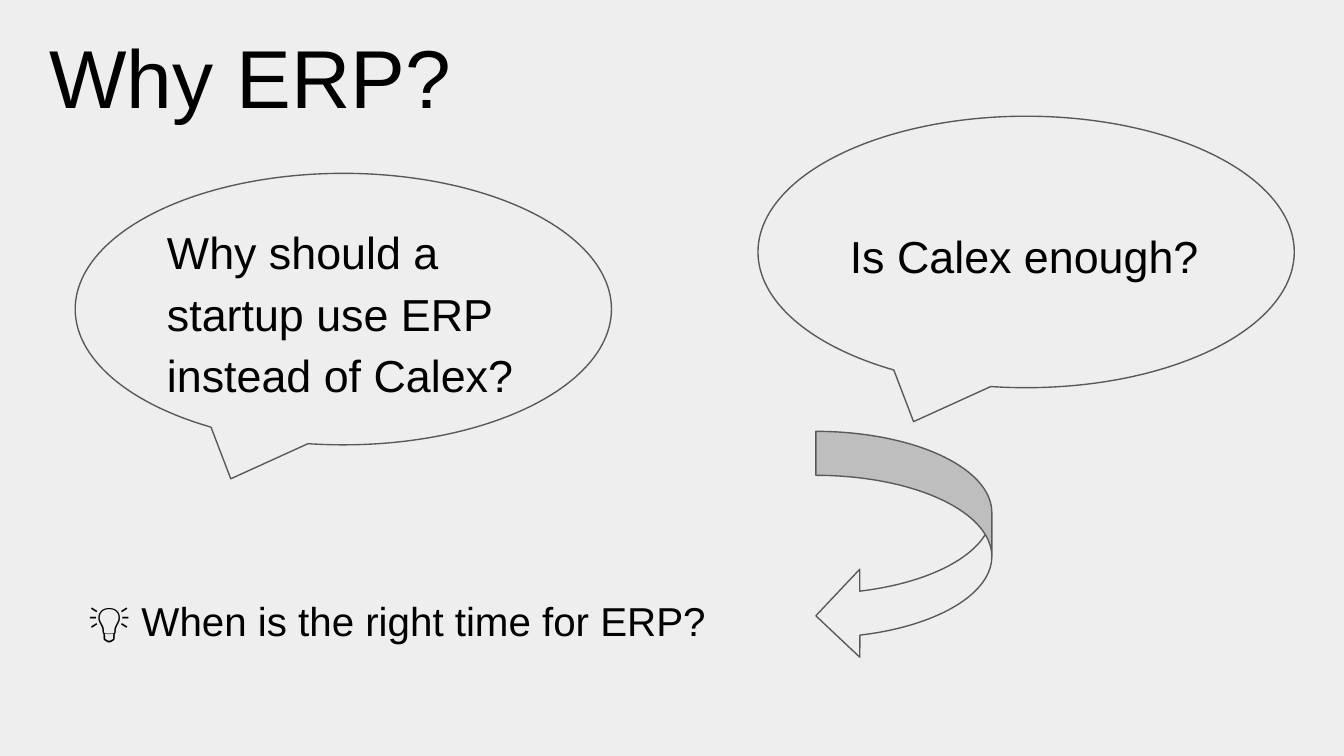
from dataclasses import dataclass

from pptx import Presentation
from pptx.dml.color import RGBColor
from pptx.enum.shapes import MSO_SHAPE
from pptx.enum.text import MSO_ANCHOR, PP_ALIGN
from pptx.shapes.autoshape import Shape
from pptx.slide import Slide
from pptx.util import Inches, Pt


@dataclass(frozen=True)
class Theme:
    font: str = "Arial"
    ink: RGBColor = RGBColor(0x00, 0x00, 0x00)
    paper: RGBColor = RGBColor(0xEE, 0xEE, 0xEE)
    outline: RGBColor = RGBColor(0x59, 0x59, 0x59)
    outline_width: float = 0.75
    title_size: float = 44
    bubble_size: float = 24
    closing_size: float = 21.6
    line_spacing: float = 1.15
    space_before: float = 8
    inset: float = 0.1


@dataclass(frozen=True)
class Area:
    """A rectangle in square grid cells, 100 of which span the slide's width."""
    left: float
    top: float
    width: float
    height: float

    def lengths(self) -> tuple[int, int, int, int]:
        return (int(self.left * CELL), int(self.top * CELL),
                int(self.width * CELL), int(self.height * CELL))


@dataclass(frozen=True)
class Bubble:
    text: str
    left: float
    top: float


THEME = Theme()
SLIDE_WIDTH = Inches(10)
SLIDE_HEIGHT = SLIDE_WIDTH * 9 // 16
CELL = SLIDE_WIDTH // 100
BUBBLE_WIDTH, BUBBLE_HEIGHT = 39.9, 20.2
BUBBLE_TAIL = (-0.21, 5 / 8)
BUBBLES = (
    Bubble("Why should a startup use ERP instead of Calex?", 5.6, 12.9),
    Bubble("Is Calex enough?", 56.4, 8.65),
)
TITLE_AREA = Area(2.7, 0.95, 92.2, 11.3)
CLOSING_AREA = Area(5.6, 42.8, 93.2, 6.3)
ARROW_AREA = Area(60.7, 32.1, 13.1, 17)
ARROW_BEND = (0.25, 0.5, 0.25)


def write_text(box: Shape, text: str, size: float, anchor: MSO_ANCHOR, spaced: bool = True) -> None:
    frame = box.text_frame
    frame.text = text
    frame.word_wrap = True
    frame.vertical_anchor = anchor
    frame.margin_left = frame.margin_right = Inches(THEME.inset)
    frame.margin_top = frame.margin_bottom = Inches(THEME.inset)
    for para in frame.paragraphs:
        para.alignment = PP_ALIGN.LEFT
        if spaced:
            para.line_spacing = THEME.line_spacing
            para.space_before = Pt(THEME.space_before)
        for span in para.runs:
            span.font.name = THEME.font
            span.font.size = Pt(size)
            span.font.color.rgb = THEME.ink


def add_outlined_shape(page: Slide, kind: MSO_SHAPE, area: Area, adjustments: tuple[float, ...]) -> Shape:
    shape = page.shapes.add_shape(kind, *area.lengths())
    for index, value in enumerate(adjustments):
        shape.adjustments[index] = value
    shape.shadow.inherit = False
    shape.fill.solid()
    shape.fill.fore_color.rgb = THEME.paper
    shape.line.color.rgb = THEME.outline
    shape.line.width = Pt(THEME.outline_width)
    return shape


def add_bubble(page: Slide, bubble: Bubble) -> None:
    area = Area(bubble.left, bubble.top, BUBBLE_WIDTH, BUBBLE_HEIGHT)
    shape = add_outlined_shape(page, MSO_SHAPE.OVAL_CALLOUT, area, BUBBLE_TAIL)
    write_text(shape, bubble.text, THEME.bubble_size, MSO_ANCHOR.MIDDLE)


def build_slide(page: Slide) -> None:
    page.background.fill.solid()
    page.background.fill.fore_color.rgb = THEME.paper

    title = page.shapes.add_textbox(*TITLE_AREA.lengths())
    write_text(title, "Why ERP?", THEME.title_size, MSO_ANCHOR.TOP, spaced=False)
    for bubble in BUBBLES:
        add_bubble(page, bubble)
    closing = page.shapes.add_textbox(*CLOSING_AREA.lengths())
    write_text(closing, "💡 When is the right time for ERP?", THEME.closing_size, MSO_ANCHOR.TOP)
    add_outlined_shape(page, MSO_SHAPE.CURVED_LEFT_ARROW, ARROW_AREA, ARROW_BEND)


def main() -> None:
    deck = Presentation()
    deck.slide_width, deck.slide_height = SLIDE_WIDTH, SLIDE_HEIGHT
    build_slide(deck.slides.add_slide(deck.slide_layouts[6]))
    deck.save("out.pptx")


if __name__ == "__main__":
    main()
